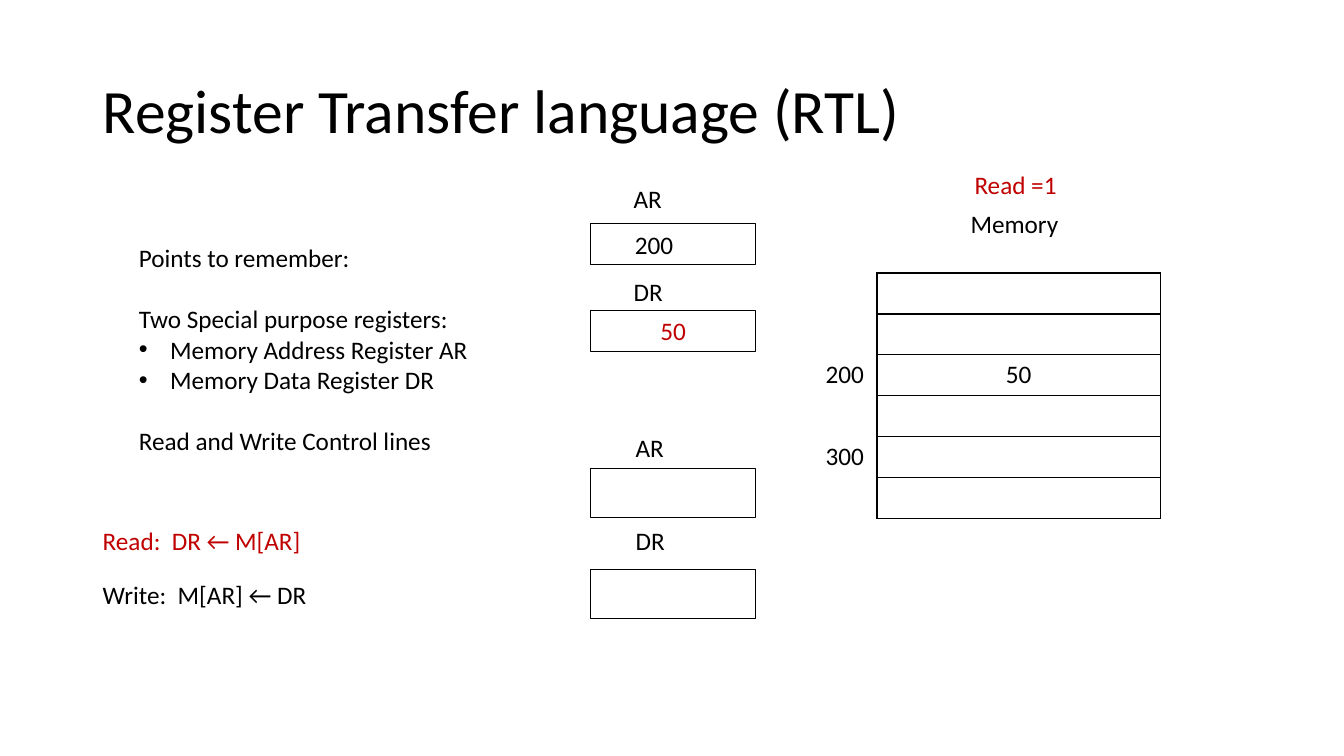
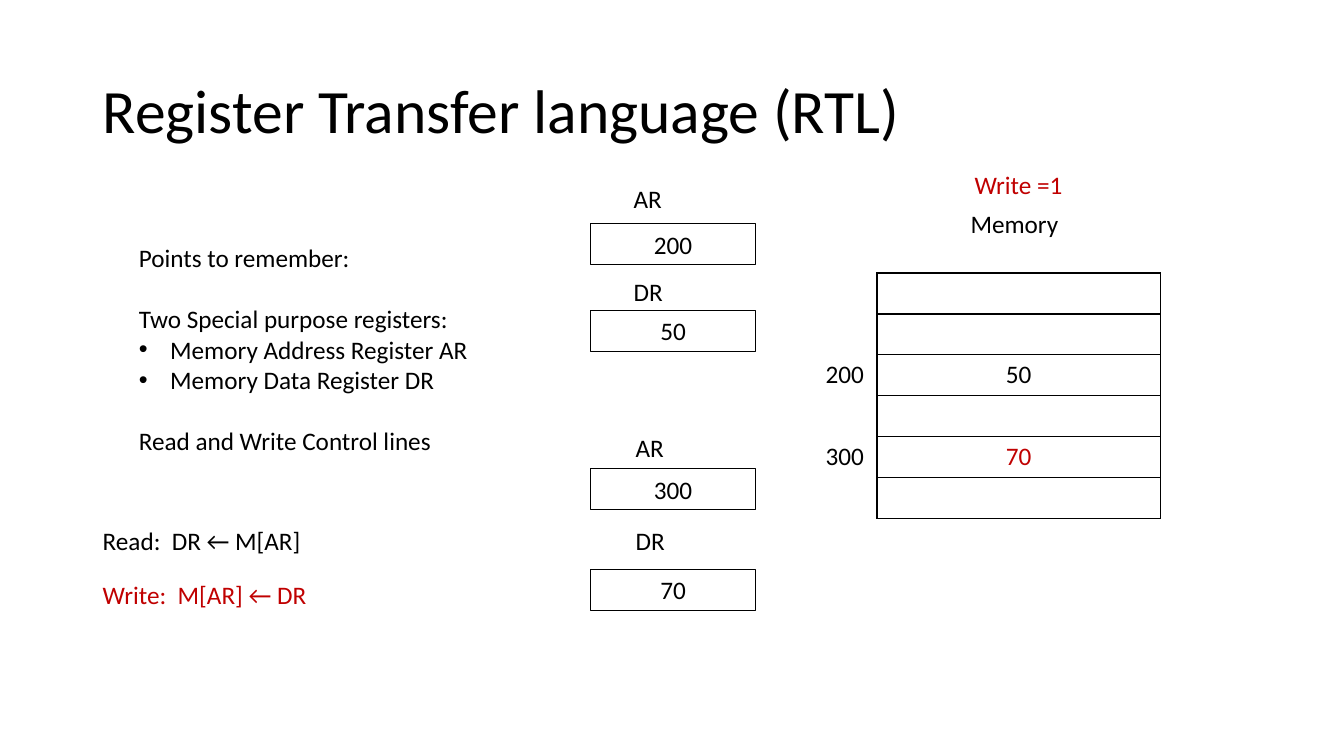
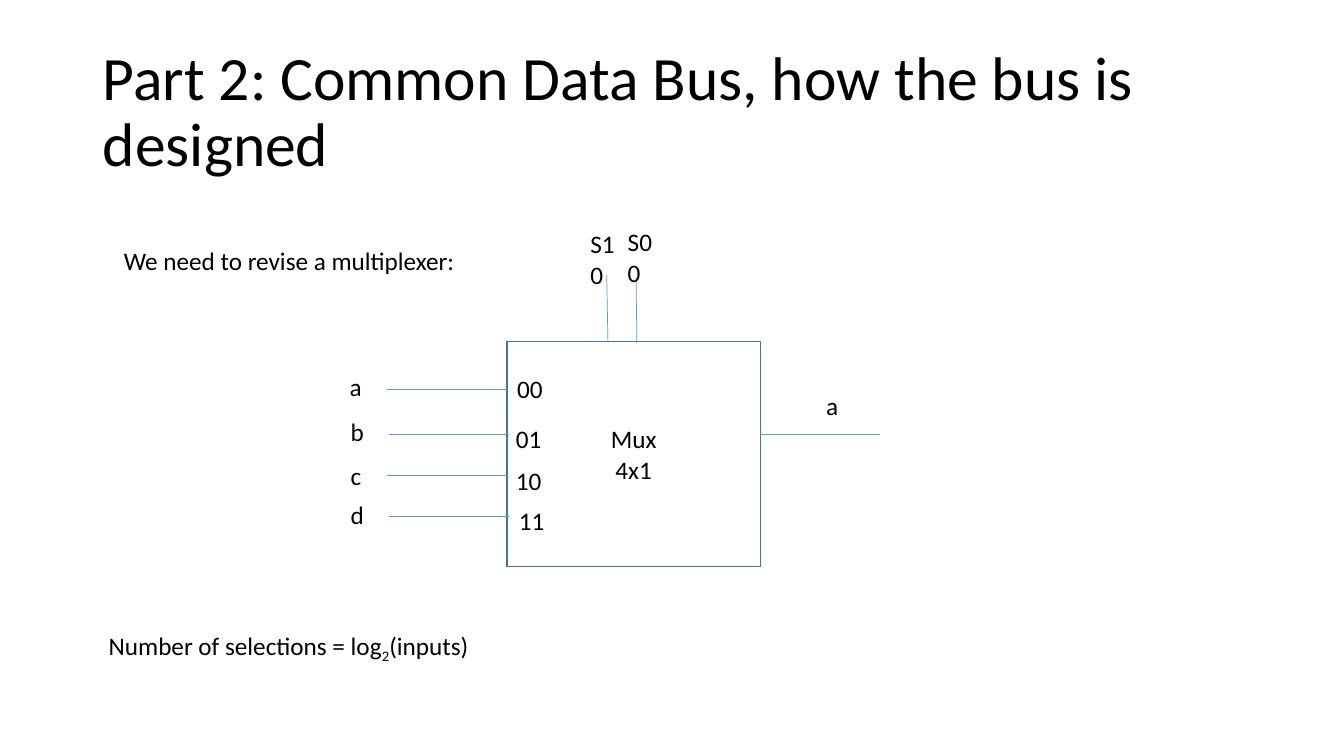
from lxml import etree
from pptx import Presentation
from pptx.dml.color import RGBColor
from pptx.enum.shapes import MSO_CONNECTOR, MSO_SHAPE
from pptx.enum.text import MSO_ANCHOR, MSO_AUTO_SIZE, PP_ALIGN
from pptx.oxml.ns import qn
from pptx.util import Cm, Pt

FONT = "Calibri"
COLORS = {"text": "000000", "accent": "C00000", "mux": "43739E", "wire": "5B9BD5"}
TITLE_ONLY = 5
LEFT, CENTER = PP_ALIGN.LEFT, PP_ALIGN.CENTER
MIDDLE = MSO_ANCHOR.MIDDLE
NO_AUTOFIT = MSO_AUTO_SIZE.NONE
RECTANGLE = MSO_SHAPE.RECTANGLE
STRAIGHT = MSO_CONNECTOR.STRAIGHT
BODY_SIZE = 18
LINE_HEIGHT = 1.03
BLANK_LINE = 22

REGISTER_LEFT, REGISTER_WIDTH = 14.88, 4.17
# name, left of the name, top of the name, top of the box
REGISTERS = [
    ("AR", 15.72, 4.5, 5.64),
    ("DR", 15.72, 6.83, 7.82),
    ("AR", 15.77, 10.77, 11.81),
    ("DR", 15.77, 13.11, 14.35),
]
# text, bulleted, space before in points
POINTS = [
    ("Points to remember:", False, 0),
    ("Two Special purpose registers:", False, BLANK_LINE),
    ("Memory Address Register AR", True, 0),
    ("Memory Data Register DR", True, 0),
    ("Read and Write Control lines", False, BLANK_LINE),
]
ADDRESSES = ["", "", "200", "", "300", ""]

MUX_LEFT, MUX_TOP, MUX_WIDTH, MUX_HEIGHT = 12.78, 8.61, 6.38, 5.66
WIRE_LENGTH = 3.02
# name, its left and top, code, its left and top, left and height of the wire
MUX_INPUTS = [
    ("a", 8.56, 9.22, "00", 12.78, 9.27, 9.75, 9.8),
    ("b", 8.59, 10.36, "01", 12.75, 10.54, 9.8, 10.95),
    ("c", 8.59, 11.48, "10", 12.75, 11.61, 9.75, 11.99),
    ("d", 8.59, 12.47, "11", 12.83, 12.62, 9.8, 13),
]
# name, its left and top, start and end of the wire
MUX_SELECTS = [
    ("S1", 14.63, 5.64, (15.29, 6.93), (15.32, 8.61)),
    ("S0", 15.57, 5.59, (16.03, 6.99), (16.05, 8.66)),
]


def color(name):
    return RGBColor.from_string(COLORS[name])


def add_run(paragraph, text, color_name="text", size=BODY_SIZE):
    run = paragraph.add_run()
    run.text = text
    run.font.name = FONT
    run.font.size = Pt(size)
    run.font.color.rgb = color(color_name)
    return run


def write_lines(frame, lines, color_name="text", align=LEFT):
    """Write one paragraph per line and return the paragraphs."""
    frame.word_wrap = True
    paragraphs = []
    for index, line in enumerate(lines):
        paragraph = frame.add_paragraph() if index else frame.paragraphs[0]
        paragraph.alignment = align
        if line:
            add_run(paragraph, line, color_name)
        paragraphs.append(paragraph)
    return paragraphs


def add_text(slide, left, top, width, lines, color_name="text", height=LINE_HEIGHT):
    box = slide.shapes.add_textbox(Cm(left), Cm(top), Cm(width), Cm(height))
    return write_lines(box.text_frame, lines, color_name)


def add_box(slide, left, top, width, height, line_color, line_width):
    """Add an unfilled rectangle and return its text frame."""
    box = slide.shapes.add_shape(RECTANGLE, Cm(left), Cm(top), Cm(width), Cm(height))
    box.shadow.inherit = False
    box.fill.background()
    box.line.color.rgb = color(line_color)
    box.line.width = Pt(line_width)
    box.text_frame.vertical_anchor = MIDDLE
    return box.text_frame


def add_wire(slide, start, end):
    x1, y1, x2, y2 = (Cm(length) for length in (*start, *end))
    wire = slide.shapes.add_connector(STRAIGHT, x1, y1, x2, y2)
    wire.line.color.rgb = color("wire")
    wire.line.width = Pt(0.5)
    etree.SubElement(wire._element.spPr, qn("a:effectLst"))


def add_bullet(paragraph):
    properties = paragraph._p.get_or_add_pPr()
    properties.set("marL", str(Cm(0.79)))
    properties.set("indent", str(Cm(-0.79)))
    etree.SubElement(properties, qn("a:buFont")).set("typeface", "Arial")
    etree.SubElement(properties, qn("a:buChar")).set("char", "•")


def set_borders(cell, sides):
    """Draw the sides (L, R, T, B) before the cell's fill, as the schema wants."""
    properties = cell._tc.get_or_add_tcPr()
    for position, side in enumerate(sides):
        line = etree.Element(qn(f"a:ln{side}"), w=str(Pt(1)))
        fill = etree.SubElement(line, qn("a:solidFill"))
        etree.SubElement(fill, qn("a:srgbClr")).set("val", COLORS["text"])
        properties.insert(position, line)


def add_titled_slide(presentation, text):
    slide = presentation.slides.add_slide(presentation.slide_layouts[TITLE_ONLY])
    title = slide.shapes.title
    title.left, title.top, title.width, title.height = (
        Cm(length) for length in (2.34, 1.02, 29.21, 3.68))
    frame = title.text_frame
    frame.word_wrap = True
    frame.auto_size = NO_AUTOFIT
    frame.vertical_anchor = MIDDLE
    paragraph = frame.paragraphs[0]
    paragraph.alignment = LEFT
    paragraph.line_spacing = 0.9
    add_run(paragraph, text, size=44)
    return slide


def add_points(slide):
    paragraphs = add_text(slide, 3.25, 5.99, 9.3, [point[0] for point in POINTS],
                          height=7.95)
    for paragraph, (_, bulleted, space) in zip(paragraphs, POINTS):
        paragraph.space_before = Pt(space)
        if bulleted:
            add_bullet(paragraph)


def add_memory(slide, values, changed):
    """Add the memory table; the value at the changed address is accented."""
    frame = slide.shapes.add_table(len(ADDRESSES), 2, Cm(20.55), Cm(6.88),
                                   Cm(8.69), Cm(LINE_HEIGHT * len(ADDRESSES)))
    table = frame.table
    table.first_row = table.horz_banding = False
    table.columns[0].width, table.columns[1].width = Cm(1.55), Cm(7.14)
    for row, address in enumerate(ADDRESSES):
        table.rows[row].height = Cm(LINE_HEIGHT)
        accent = "accent" if address and address == changed else "text"
        cells = [(address, "text", LEFT, "R"),
                 (values.get(address, ""), accent, CENTER, "LRTB")]
        for column, (text, color_name, align, sides) in enumerate(cells):
            cell = table.cell(row, column)
            cell.fill.background()
            write_lines(cell.text_frame, [text], color_name, align)
            set_borders(cell, sides)


def add_registers(slide, contents):
    """Add the registers; contents holds value, colour, left inset, height of each."""
    for register, content in zip(REGISTERS, contents):
        name, name_left, name_top, top = register
        value, color_name, inset, height = content
        frame = add_box(slide, REGISTER_LEFT, top, REGISTER_WIDTH, height, "text", 0.75)
        if inset:
            frame.margin_left = Cm(inset)
        write_lines(frame, [value], color_name, LEFT if inset else CENTER)
        add_text(slide, name_left, name_top, 1.73, [name])


def add_transfer_slide(presentation, operation, values, changed, contents):
    slide = add_titled_slide(presentation, "Register Transfer language (RTL)")
    add_memory(slide, values, changed)
    add_points(slide)
    add_text(slide, 24.21, 5.13, 6.58, ["Memory"])
    add_registers(slide, contents)
    for name, transfer, top in [("Read", "DR ← M[AR]", 13.11),
                                ("Write", "M[AR] ← DR", 14.48)]:
        color_name = "accent" if name == operation else "text"
        add_text(slide, 2.34, top, 8.41, [f"{name}:  {transfer}"], color_name)
    add_text(slide, 24.31, 4.14, 6.58, [f"{operation} =1"], "accent")


def add_multiplexer_slide(presentation):
    slide = add_titled_slide(
        presentation, "Part 2: Common Data Bus, how the bus is designed")
    add_text(slide, 2.87, 6.05, 19.89, ["We need to revise a multiplexer:"])
    mux = add_box(slide, MUX_LEFT, MUX_TOP, MUX_WIDTH, MUX_HEIGHT, "mux", 1)
    write_lines(mux, ["Mux", "4x1"], align=CENTER)

    for name, left, top, code, code_left, code_top, wire_left, wire_y in MUX_INPUTS:
        add_wire(slide, (wire_left, wire_y), (wire_left + WIRE_LENGTH, wire_y))
        add_text(slide, code_left, code_top, 1.3, [code])
        add_text(slide, left, top, 1.3, [name])

    output_left, output_y = MUX_LEFT + MUX_WIDTH, 10.95
    add_wire(slide, (output_left, output_y), (output_left + WIRE_LENGTH, output_y))
    add_text(slide, 20.57, 9.7, 1.3, ["a"])

    for name, left, top, start, end in MUX_SELECTS:
        add_wire(slide, start, end)
        add_text(slide, left, top, 1.3, [name, "0"], height=1.8)

    formula = add_text(slide, 2.49, 15.75, 19.89, ["Number of selections = log"])[0]
    subscript = add_run(formula, "2")
    subscript._r.get_or_add_rPr().set("baseline", "-25000")
    add_run(formula, "(inputs)")


def main():
    presentation = Presentation()
    presentation.slide_width, presentation.slide_height = Cm(33.87), Cm(19.05)
    empty = ("", "text", 0, 1.24)
    add_transfer_slide(
        presentation, "Read", {"200": "50"}, None,
        [("200", "text", 1.12, LINE_HEIGHT), ("50", "accent", 0, LINE_HEIGHT),
         empty, empty])
    add_transfer_slide(
        presentation, "Write", {"200": "50", "300": "70"}, "300",
        [(value, "text", 0, LINE_HEIGHT) for value in ("200", "50", "300", "70")])
    add_multiplexer_slide(presentation)
    presentation.save("out.pptx")


if __name__ == "__main__":
    main()
